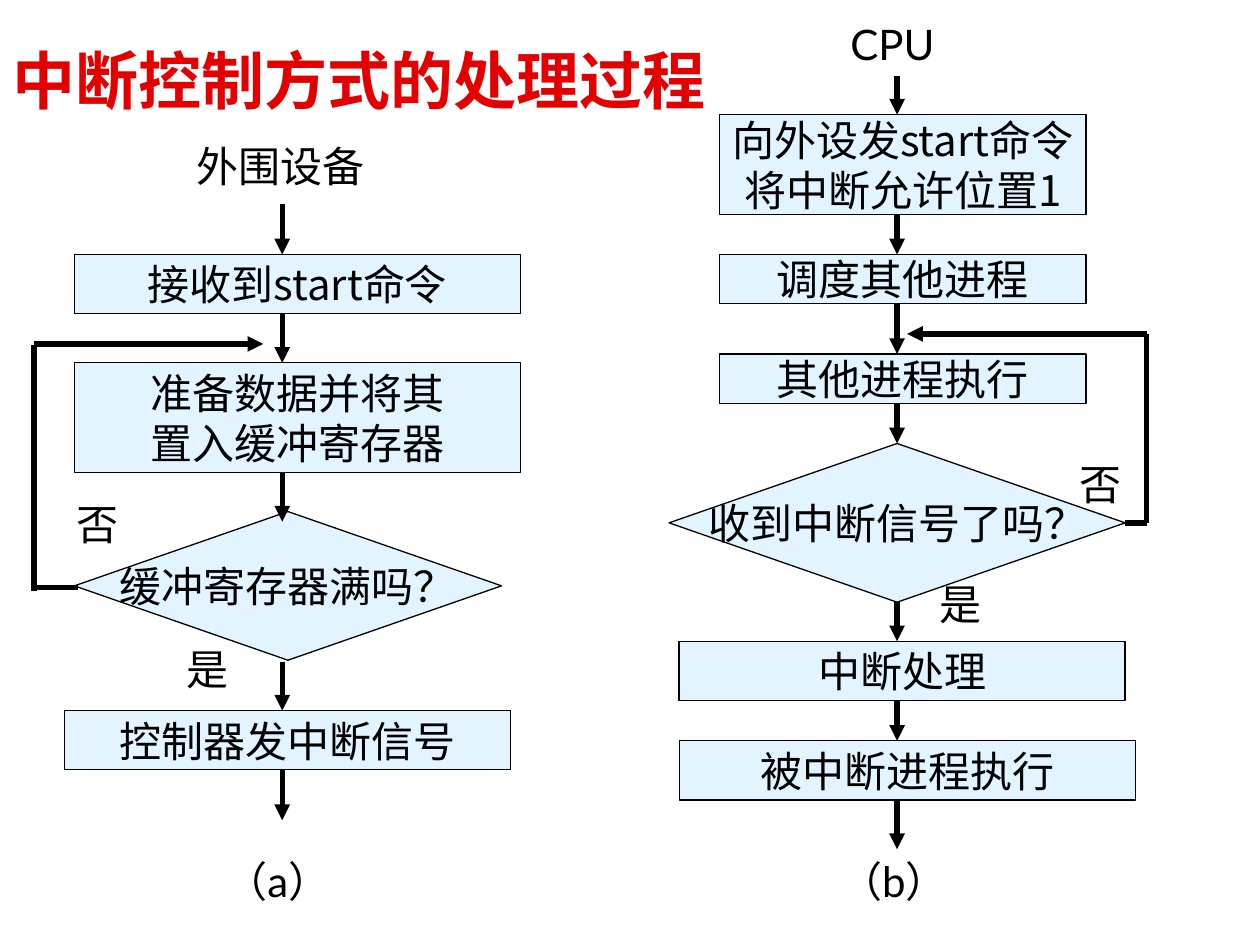
from dataclasses import dataclass

from lxml.etree import SubElement
from pptx import Presentation
from pptx.dml.color import RGBColor
from pptx.enum.shapes import MSO_CONNECTOR, MSO_SHAPE
from pptx.enum.text import MSO_ANCHOR, MSO_AUTO_SIZE, PP_ALIGN
from pptx.oxml.ns import qn
from pptx.util import Inches, Pt


@dataclass(frozen=True)
class Theme:
    title: RGBColor = RGBColor(0xE4, 0x00, 0x00)
    ink: RGBColor = RGBColor(0x00, 0x00, 0x00)
    step: RGBColor = RGBColor(0xE1, 0xF4, 0xFF)
    paper: RGBColor = RGBColor(0xFF, 0xFF, 0xFF)
    title_size: Pt = Pt(36)
    text_size: Pt = Pt(24)
    outline: Pt = Pt(0.75)
    flow: Pt = Pt(3)
    title_font: str = "Arial"
    step_font: str = "Noto Sans CJK SC"
    label_font: str = "Lato"


THEME = Theme()
RECT, DIAMOND = MSO_SHAPE.RECTANGLE, MSO_SHAPE.DIAMOND


def write(frame, text, font_name, align):
    """Fill a text frame, one paragraph per line of text."""
    frame.text = text
    for paragraph in frame.paragraphs:
        paragraph.alignment = align
        paragraph.font.name = font_name
        paragraph.font.size = THEME.text_size
        paragraph.font.color.rgb = THEME.ink


def add_flow(x1, y1, x2, y2, arrow=True):
    flow = slide.shapes.add_connector(
        MSO_CONNECTOR.STRAIGHT, Inches(x1), Inches(y1), Inches(x2), Inches(y2))
    flow.line.color.rgb = THEME.ink
    flow.line.width = THEME.flow
    if arrow:
        SubElement(flow.line._get_or_add_ln(), qn("a:tailEnd"), type="triangle")
    SubElement(flow._element.spPr, qn("a:effectLst"))
    return flow


prs = Presentation()
prs.slide_width, prs.slide_height = Inches(10), Inches(7.5)
slide = prs.slides.add_slide(prs.slide_layouts[5])

# Title
title = slide.shapes.title
title.left, title.top, title.width, title.height = map(Inches, (0, 0.28, 5.94, 0.7))
title.fill.solid()
title.fill.fore_color.rgb = THEME.paper
title.text_frame.text = "中断控制方式的处理过程"
title.text_frame.auto_size = MSO_AUTO_SIZE.NONE
title.text_frame.vertical_anchor = MSO_ANCHOR.MIDDLE
heading = title.text_frame.paragraphs[0]
heading.alignment = PP_ALIGN.LEFT
heading.font.name = THEME.title_font
heading.font.size = THEME.title_size
heading.font.bold = True
heading.font.color.rgb = THEME.title

# Steps of both flows: outline, left, top, width, height, text, font
STEPS = [
    # (a) device
    (RECT, 0.59, 2.02, 3.54, 0.47, "接收到start命令", THEME.step_font),
    (RECT, 0.59, 2.88, 3.54, 0.87, "准备数据并将其\n置入缓冲寄存器", THEME.step_font),
    (DIAMOND, 0.59, 4.06, 3.39, 1.18, "缓冲寄存器满吗？", THEME.label_font),
    (RECT, 0.51, 5.64, 3.54, 0.47, "控制器发中断信号", THEME.step_font),
    # (b) CPU
    (RECT, 5.71, 0.91, 2.91, 0.79, "向外设发start命令\n将中断允许位置1", THEME.step_font),
    (RECT, 5.71, 2.02, 2.91, 0.39, "调度其他进程", THEME.step_font),
    (RECT, 5.71, 2.81, 2.91, 0.39, "其他进程执行", THEME.step_font),
    (RECT, 5.39, 5.09, 3.54, 0.47, "中断处理", THEME.step_font),
    (RECT, 5.39, 5.88, 3.62, 0.47, "被中断进程执行", THEME.step_font),
    (DIAMOND, 5.31, 3.52, 3.62, 1.26, "收到中断信号了吗？", THEME.step_font),
]
for outline, left, top, width, height, text, font_name in STEPS:
    step = slide.shapes.add_shape(
        outline, Inches(left), Inches(top), Inches(width), Inches(height))
    step.shadow.inherit = False
    step.fill.solid()
    step.fill.fore_color.rgb = THEME.step
    step.line.color.rgb = THEME.ink
    step.line.width = THEME.outline
    step.text_frame.word_wrap = False
    step.text_frame.vertical_anchor = MSO_ANCHOR.MIDDLE
    write(step.text_frame, text, font_name, PP_ALIGN.CENTER)
signal_check = step

# Downward arrows
DEVICE_X, CPU_X = 2.24, 7.12
for start, end in [(1.62, 2.02), (2.49, 2.88), (3.75, 4.14), (5.25, 5.64), (6.11, 6.51)]:
    add_flow(DEVICE_X, start, DEVICE_X, end)
for start, end in [(0.6, 0.91), (1.7, 2.02), (2.41, 2.81), (5.56, 5.88), (6.35, 6.74)]:
    add_flow(CPU_X, start, CPU_X, end)
add_flow(CPU_X, 3.2, CPU_X, 3.52).end_connect(signal_check, 0)
add_flow(CPU_X, 4.78, CPU_X, 5.09).begin_connect(signal_check, 2)

# Loops back on "否"
add_flow(0.62, 4.66, 0.27, 4.66, arrow=False)
add_flow(0.27, 2.74, 0.27, 4.69, arrow=False)
add_flow(0.27, 2.73, 2.09, 2.73)
add_flow(9.1, 4.15, 8.93, 4.15, arrow=False).end_connect(signal_check, 3)
add_flow(9.1, 2.65, 9.1, 4.15, arrow=False)
add_flow(9.1, 2.65, 7.2, 2.65)

# Labels: left, top, width, text
LABELS = [
    (1.46, 1.07, 1.57, "外围设备"),
    (0.51, 3.91, 0.63, "否"),
    (1.38, 5.06, 0.63, "是"),
    (1.69, 6.74, 1.34, "（a）"),
    (6.65, 0.1, 1.02, "CPU"),
    (8.47, 3.59, 0.63, "否"),
    (7.36, 4.54, 0.63, "是"),
    (6.57, 6.74, 1.34, "（b）"),
]
for left, top, width, text in LABELS:
    label = slide.shapes.add_textbox(Inches(left), Inches(top), Inches(width), Inches(0.5))
    label.text_frame.word_wrap = True
    label.text_frame.auto_size = MSO_AUTO_SIZE.SHAPE_TO_FIT_TEXT
    write(label.text_frame, text, THEME.label_font, PP_ALIGN.LEFT)

prs.save("out.pptx")
